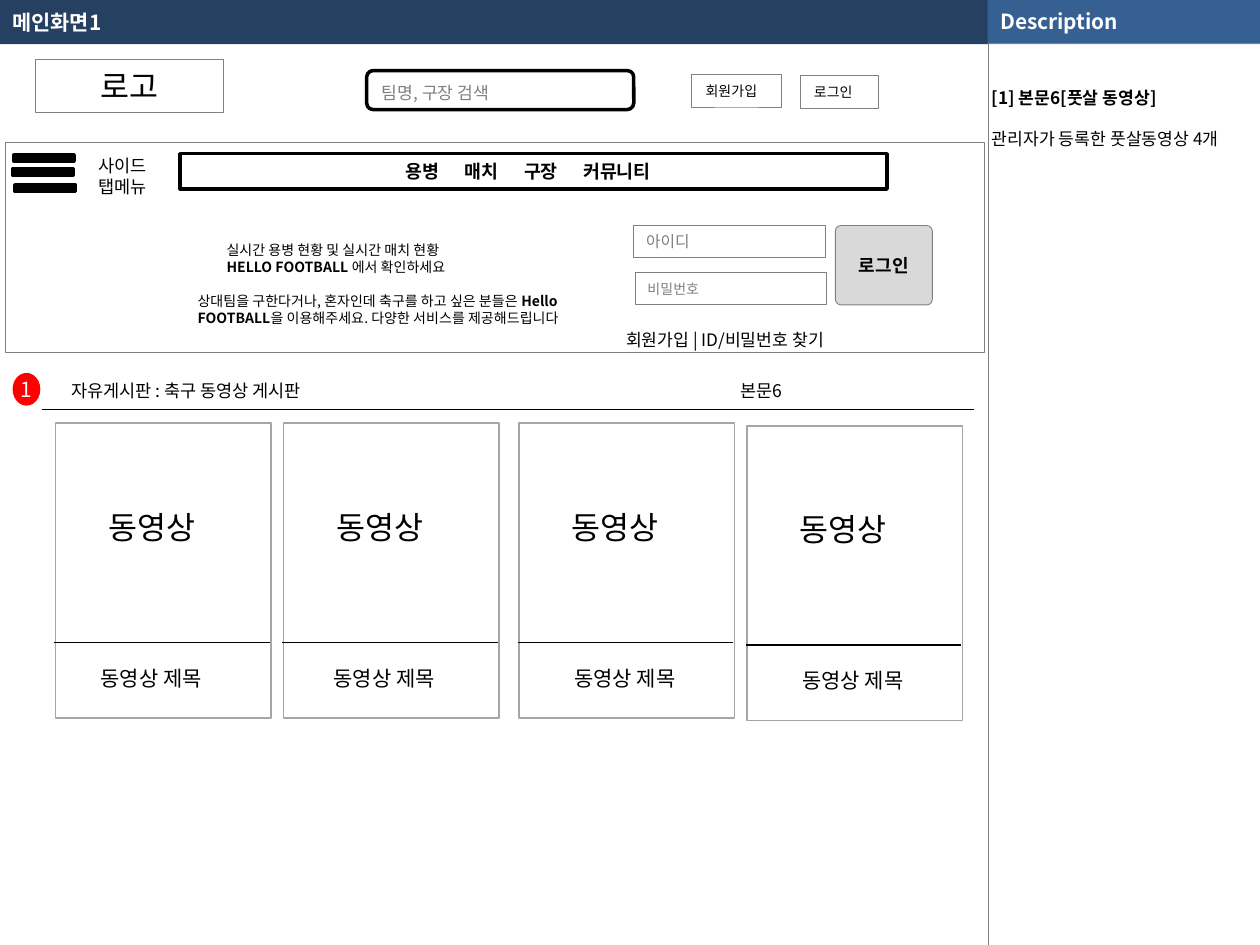
from lxml import etree
from pptx import Presentation
from pptx.dml.color import RGBColor
from pptx.enum.shapes import MSO_CONNECTOR, MSO_SHAPE
from pptx.enum.text import MSO_ANCHOR, MSO_AUTO_SIZE, PP_ALIGN
from pptx.oxml.ns import qn
from pptx.util import Inches, Pt

RECT, ROUND, OVAL = MSO_SHAPE.RECTANGLE, MSO_SHAPE.ROUNDED_RECTANGLE, MSO_SHAPE.OVAL
LEFT, CENTER = PP_ALIGN.LEFT, PP_ALIGN.CENTER
TOP, MIDDLE = MSO_ANCHOR.TOP, MSO_ANCHOR.MIDDLE
FONT = "Noto Sans CJK KR"
BLACK, WHITE, GRAY = "000000", "FFFFFF", "808080"
INSETS = (0.1, 0.05, 0.1, 0.05)
BUTTON_INSETS = (0.11, 0.06, 0.11, 0.06)

# Content: a paragraph is a list of (text, bold) runs
TITLE = "메인화면1"
DESCRIPTION = [
    [("[1] 본문6[풋살 동영상]", True)],
    [("관리자가 등록한 풋살동영상 4개", False)],
]
INTRO = [
    [("실시간 용병 현황 및 실시간 매치 현황", False)],
    [("HELLO FOOTBALL", True), (" 에서 확인하세요", False)],
    [("상대팀을 구한다거나, 혼자인데 축구를 하고 싶은 분들은 ", False),
     ("Hello FOOTBALL", True),
     ("을 이용해주세요. 다양한 서비스를 제공해드립니다", False)],
]
MENU = ["용병", "매치", "구장", "커뮤니티"]
BOARD = ["자유게시판 : 축구 동영상 게시판", "본문6"]
# Text, box, size, colour, insets
FIELDS = [
    ("회원가입", (5.49, 0.59, 0.71, 0.26), 8, BLACK, BUTTON_INSETS),
    ("로그인", (6.35, 0.6, 0.62, 0.26), 8, BLACK, BUTTON_INSETS),
    ("아이디", (5.03, 1.79, 1.52, 0.25), 9, GRAY, INSETS),
    ("비밀번호", (5.04, 2.16, 1.52, 0.26), 8, GRAY, INSETS),
]
MENU_BARS = [(0.11, 1.23), (0.1, 1.34), (0.12, 1.47)]
# Card left, card top, caption left
CARDS = [(0.44, 3.36, 0.7), (2.25, 3.36, 2.55), (4.12, 3.36, 4.46), (5.93, 3.38, 6.27)]
VIDEO, CAPTION = "동영상", "동영상 제목"

prs = Presentation()
prs.slide_width, prs.slide_height = Inches(10), Inches(7.5)
slide = prs.slides.add_slide(prs.slide_layouts[1])
shapes = slide.shapes


def rgb(code):
    return RGBColor.from_string(code)


def place(sp, box):
    sp.left, sp.top, sp.width, sp.height = (Inches(v) for v in box)


def add_box(box, fill=None, line=None, width=0.5, kind=RECT):
    sp = shapes.add_shape(kind, *(Inches(v) for v in box))
    sp.shadow.inherit = False
    if fill:
        sp.fill.solid()
        sp.fill.fore_color.rgb = rgb(fill)
    else:
        sp.fill.background()
    if line:
        sp.line.color.rgb = rgb(line)
        sp.line.width = Pt(width)
    else:
        sp.line.fill.background()
    return sp


def add_line(x1, y1, x2, y2, color=BLACK, width=0.75):
    ln = shapes.add_connector(MSO_CONNECTOR.STRAIGHT, *(Inches(v) for v in (x1, y1, x2, y2)))
    ln.line.color.rgb = rgb(color)
    ln.line.width = Pt(width)
    etree.SubElement(ln.element.spPr, qn("a:effectLst"))


def write(sp, paragraphs, size, color=BLACK, bold=False, align=LEFT, anchor=MIDDLE,
          insets=INSETS, wrap=True, tabs=(), plain_list=False):
    """Fill a shape; paragraphs is a string or a list of run lists."""
    if isinstance(paragraphs, str):
        paragraphs = [[(paragraphs, bold)]]
    tf = sp.text_frame
    tf.word_wrap, tf.auto_size, tf.vertical_anchor = wrap, MSO_AUTO_SIZE.NONE, anchor
    tf.margin_left, tf.margin_top, tf.margin_right, tf.margin_bottom = (Inches(v) for v in insets)
    for i, runs in enumerate(paragraphs):
        p = tf.paragraphs[0] if i == 0 else tf.add_paragraph()
        pPr = p._p.get_or_add_pPr()
        if plain_list:
            pPr.set("marL", "0")
            pPr.set("indent", "0")
            etree.SubElement(pPr, qn("a:buNone"))
        if tabs:
            tab_list = etree.SubElement(pPr, qn("a:tabLst"))
            for pos in tabs:
                etree.SubElement(tab_list, qn("a:tab"), pos=str(Inches(pos)), algn="l")
        p.alignment, p.space_before = align, Pt(0)
        for text, is_bold in runs:
            r = p.add_run()
            r.text = text
            r.font.size, r.font.bold, r.font.name = Pt(size), is_bold, FONT
            r.font.color.rgb = rgb(color)
            etree.SubElement(r.font._element, qn("a:ea"), typeface=FONT)
    return tf


def add_text(box, paragraphs, size, **style):
    sp = shapes.add_textbox(*(Inches(v) for v in box))
    return write(sp, paragraphs, size, anchor=TOP, **style)


# Header bars and description column
add_box((0, 0, 7.84, 0.35), "254061")
add_box((7.84, 0, 2.16, 0.35), GRAY)
add_line(7.84, 0, 7.84, 0.35, WHITE, 0.25)
add_line(7.84, 0.34, 7.84, 7.5, "7F7F7F", 0.25)
write(add_box((7.84, 0, 2.16, 0.34), "376092"), "Description", 11.9, WHITE, bold=True)

title = shapes.title
title.element.getparent().append(title.element)  # in front of the bars
place(title, (0, 0, 7.62, 0.35))
write(title, TITLE, 11.9, WHITE, bold=True)

body = slide.placeholders[1]
place(body, (7.83, 0.69, 2.17, 6.81))
tf = write(body, DESCRIPTION, 9.8, anchor=TOP, insets=(0.04, 0, 0.04, 0), plain_list=True)
tf.paragraphs[1].space_before = Pt(11.7)

# Logo, search and input fields
add_box((0.04, 1.13, 7.77, 1.67), WHITE, GRAY)
write(add_box((0.28, 0.47, 1.49, 0.42), WHITE, GRAY), "로고", 18, align=CENTER, insets=BUTTON_INSETS)
add_box((2.91, 0.56, 2.12, 0.31), WHITE, BLACK, 2, ROUND)
write(add_box((2.98, 0.64, 1.19, 0.19), None, WHITE), "팀명, 구장 검색", 9.8, GRAY, insets=(0.05,) * 4)
for text, box, size, color, insets in FIELDS:
    write(add_box(box, WHITE, GRAY), text, size, color, insets=insets)
login = add_box((6.63, 1.79, 0.77, 0.63), "D9D9D9", GRAY, kind=ROUND)
login.adjustments[0] = 0.07
write(login, "로그인", 10.3, bold=True, align=CENTER)

# Side tab and menu bar
for x, y in MENU_BARS:
    add_box((x, y, 0.48, 0.05), BLACK, BLACK, 2)
add_text((0.68, 1.18, 0.76, 0.44), "사이드 탭메뉴", 10)
write(add_box((1.43, 1.22, 5.61, 0.28), WHITE, BLACK, 2), "\t".join(MENU), 10.5, bold=True,
      insets=(1.79, 0.05, 0.1, 0.05), tabs=[0.47 * i for i in range(1, len(MENU))])

# Introduction and account links
tf = add_text((1.47, 1.87, 3.6, 0.79), INTRO, 8)
for p in tf.paragraphs[:2]:
    p._p.get_or_add_pPr().set("marL", str(Inches(0.23)))
tf.paragraphs[2].space_before = Pt(9.7)
tf = add_text((4.87, 2.48, 2.49, 0.32), "회원가입 | ID/비밀번호 찾기", 9.8)
tf.paragraphs[0].line_spacing = 1.5

# Board heading
write(add_box((0.1, 2.96, 0.22, 0.26), "FF0000", kind=OVAL), "1", 11.9, WHITE,
      align=CENTER, insets=(0,) * 4, wrap=False)
add_text((0.47, 2.97, 7.08, 0.27), "\t".join(BOARD), 10, tabs=[5.31])
add_line(0.33, 3.25, 7.73, 3.25)

# Video cards
for x, y, caption_x in CARDS:
    add_box((x, y, 1.71, 2.34), None, "A6A6A6", 1)
    add_line(x - 0.01, y + 1.74, x + 1.7, y + 1.74)
    add_text((x + 0.32, y + 0.62, 1.21, 0.4), VIDEO, 18)
    add_text((caption_x, y + 1.87, 1.57, 0.3), CAPTION, 12)

prs.save("out.pptx")
